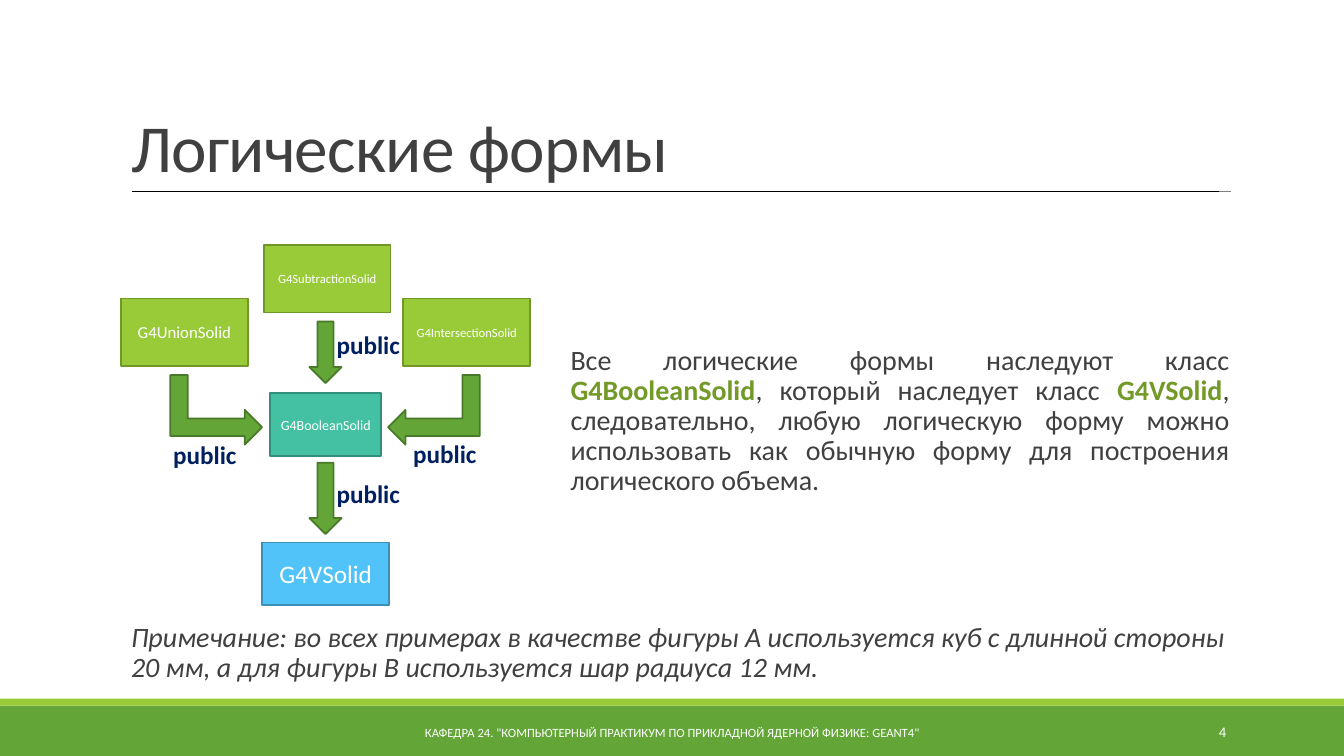
from lxml.etree import SubElement
from pptx import Presentation
from pptx.dml.color import RGBColor
from pptx.enum.shapes import MSO_CONNECTOR, MSO_SHAPE
from pptx.enum.text import MSO_ANCHOR, MSO_AUTO_SIZE, PP_ALIGN
from pptx.oxml.ns import qn
from pptx.util import Pt

COLORS = {
    "white": "FFFFFF", "text": "404040", "accent": "739A28", "navy": "002060",
    "green": "63A537", "green_edge": "497A29", "lime": "99CB38", "lime_edge": "719629",
    "teal": "44C1A3", "teal_edge": "328F79", "sky": "51C3F9", "sky_edge": "3C90B8",
    "black": "000000", "gray": "808080",
}


def rgb(name):
    return RGBColor.from_string(COLORS[name])


def set_attrs(obj, values):
    for name, value in values.items():
        setattr(obj, name, value)


def place(sp, box):
    set_attrs(sp, dict(zip(("left", "top", "width", "height"), map(Pt, box))))


def add_run(p, text, size, color="text", **fmt):
    r = p.add_run()
    r.text = text
    set_attrs(r.font, {"name": "Calibri", "size": Pt(size), **fmt})
    r.font.color.rgb = rgb(color)
    return r


def add_block(s, kind, box, fill, edge=None):
    sp = s.shapes.add_shape(kind, *map(Pt, box))
    sp.shadow.inherit = False
    sp.fill.solid()
    sp.fill.fore_color.rgb = rgb(fill)
    if edge:
        sp.line.color.rgb = rgb(edge)
        sp.line.width = Pt(1.25)
    else:
        sp.line.fill.background()
    return sp


def add_label(s, box, text, size, color, align, wrap=True, **fmt):
    tf = s.shapes.add_textbox(*map(Pt, box)).text_frame
    set_attrs(tf, {"word_wrap": wrap, "vertical_anchor": MSO_ANCHOR.MIDDLE})
    p = tf.paragraphs[0]
    p.alignment = align
    add_run(p, text, size, color, **fmt)


def add_title(s, box, text):
    sp = s.shapes.title
    place(sp, box)
    tf = sp.text_frame
    set_attrs(tf, {"word_wrap": True, "auto_size": MSO_AUTO_SIZE.NONE,
                   "vertical_anchor": MSO_ANCHOR.BOTTOM})
    p = tf.paragraphs[0]
    set_attrs(p, {"alignment": PP_ALIGN.LEFT, "line_spacing": 0.85})
    r = add_run(p, text, 48)
    r.font._element.set("spc", "-50")
    left, top, width, height = box
    for length, color, weight in ((785, "gray", 0.5), (776, "black", 1)):
        x, y = left + 8, top + height
        line = s.shapes.add_connector(MSO_CONNECTOR.STRAIGHT, Pt(x), Pt(y), Pt(x + length), Pt(y))
        line.line.color.rgb = rgb(color)
        line.line.width = Pt(weight)
        SubElement(line._element.spPr, qn("a:effectLst"))


def add_body(sp, box, align, runs):
    place(sp, box)
    tf = sp.text_frame
    set_attrs(tf, {"margin_left": 0, "margin_right": 0, "word_wrap": True,
                   "auto_size": MSO_AUTO_SIZE.NONE, "vertical_anchor": MSO_ANCHOR.TOP})
    p = tf.paragraphs[0]
    set_attrs(p, {"alignment": align, "line_spacing": 0.9,
                  "space_before": Pt(12), "space_after": Pt(2)})
    pPr = p._p.get_or_add_pPr()
    pPr.set("marL", str(Pt(7.2)))
    pPr.set("indent", str(-Pt(7.2)))
    SubElement(SubElement(pPr, qn("a:buClr")), qn("a:srgbClr")).set("val", COLORS["lime"])
    SubElement(pPr, qn("a:buChar")).set("char", " ")
    for text, fmt in runs:
        add_run(p, text, 20, **fmt)


def add_diagram(s, box):
    left, top, width, height = box
    node_w, node_h, base_h = 90.7, 48.2, 44.6
    mid = left + 146.3
    side_y = top + 38.2
    nodes = (
        ("G4SubtractionSolid", 9, "lime", mid - node_w / 2 + 1, top, node_w, node_h),
        ("G4UnionSolid", 12, "lime", left, side_y, node_w, node_h),
        ("G4IntersectionSolid", 9, "lime", left + width - node_w, side_y, node_w, node_h),
        ("G4BooleanSolid", 10, "teal", mid - 39.6, top + 105.9, 79.2, base_h),
        ("G4VSolid", 18, "sky", mid - node_w / 2, top + height - base_h, node_w, base_h),
    )
    for name, size, fill, *node_box in nodes:
        sp = add_block(s, MSO_SHAPE.RECTANGLE, node_box, fill, fill + "_edge")
        tf = sp.text_frame
        set_attrs(tf, {"word_wrap": True, "vertical_anchor": MSO_ANCHOR.MIDDLE})
        tf.paragraphs[0].alignment = PP_ALIGN.CENTER
        add_run(tf.paragraphs[0], name, size, "white")

    for y, length in ((54.7, 44), (155.5, 51)):
        add_block(s, MSO_SHAPE.DOWN_ARROW, (mid - 11.7, top + y, 23, length),
                  "green", "green_edge")
    for x, angle, flip in ((43.2, 90, "0"), (198.7, 270, "1")):
        sp = add_block(s, MSO_SHAPE.BENT_UP_ARROW, (left + x, top + 85, 49.7, 65.5),
                       "green", "green_edge")
        sp.rotation = angle
        sp._element.spPr.find(qn("a:xfrm")).set("flipH", flip)
    for x, y in ((146.9, 56.2), (30.2, 135.4), (201.6, 134.6), (146.9, 162.7)):
        add_label(s, (left + x, top + y, 60, 29), "public", 18, "navy",
                  PP_ALIGN.LEFT, wrap=False, bold=True)


def add_footer(s, box, text, number):
    left, top, width, height = box
    add_block(s, MSO_SHAPE.RECTANGLE, (left, top + 5, width, height - 5), "green")
    add_block(s, MSO_SHAPE.RECTANGLE, (left, top, width, 5), "lime")
    add_label(s, (left + 290, top + 9.5, 380, 28.8), text, 9, "white", PP_ALIGN.CENTER)
    add_label(s, (left + 780, top + 9.5, 103, 28.8), number, 10.5, "white", PP_ALIGN.RIGHT)


def main():
    prs = Presentation()
    set_attrs(prs, {"slide_width": Pt(960), "slide_height": Pt(540)})
    s = prs.slides.add_slide(prs.slide_layouts[3])
    add_footer(s, (0, 499, 960, 41),
               'КАФЕДРА 24. "КОМПЬЮТЕРНЫЙ ПРАКТИКУМ ПО ПРИКЛАДНОЙ ЯДЕРНОЙ ФИЗИКЕ: GEANT4"', "4")
    add_title(s, (86.4, 22.3, 792, 114.5), "Логические формы")
    key = {"color": "accent", "bold": True}
    add_body(s.placeholders[1], (400.3, 243.4, 478, 143.3), PP_ALIGN.JUSTIFY, (
        ("Все логические формы наследуют класс ", {}),
        ("G4BooleanSolid", key),
        (", который наследует класс ", {}),
        ("G4VSolid", key),
        (", следовательно, любую логическую форму можно использовать "
         "как обычную форму для построения логического объема.", {}),
    ))
    add_diagram(s, (86.4, 175, 292.3, 257))
    add_body(s.placeholders[2], (86.4, 441.4, 792, 51), PP_ALIGN.LEFT, (
        ("Примечание: во всех примерах в качестве фигуры A используется куб с длинной "
         "стороны 20 мм, а для фигуры В используется шар радиуса 12 мм.", {"italic": True}),
    ))
    prs.save("out.pptx")


if __name__ == "__main__":
    main()
